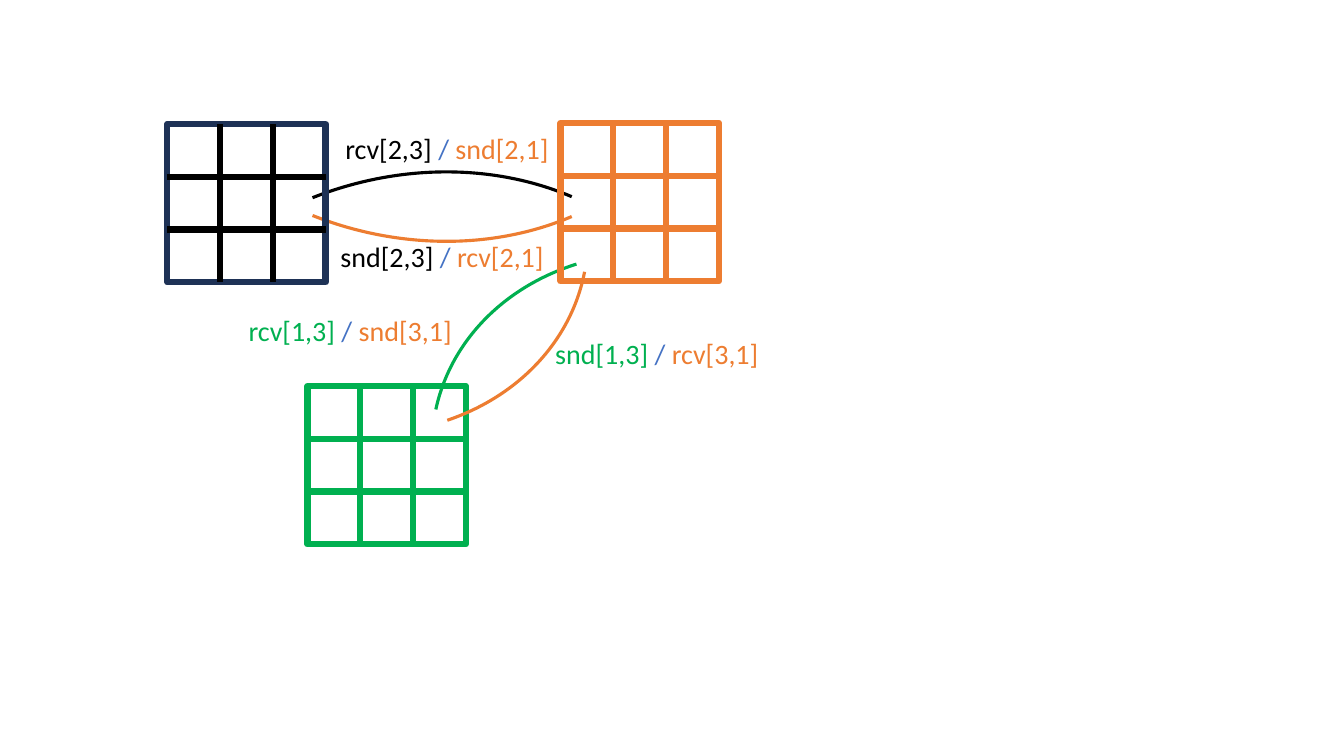
"""Slide of three 3 x 3 grids that swap border cells along arcs."""
from lxml.etree import SubElement
from pptx import Presentation
from pptx.dml.color import RGBColor as Rgb
from pptx.enum.shapes import MSO_CONNECTOR as Link, MSO_SHAPE as Kind
from pptx.enum.text import MSO_AUTO_SIZE as Fit, PP_ALIGN as Align
from pptx.oxml.ns import qn
from pptx.util import Inches, Pt

COLORS = {"black": "000000", "navy": "1E3256", "blue": "4472C4",
          "green": "00B050", "orange": "ED7D31"}
SIDE, CELLS = 1.57, 3
FLAT, TALL = (6.35, 5.46), (4.07, 4.67)
SWEEP = (162, 193.9)

ARCS = [
    ((0.93, 1.77), FLAT, 338.4, False, "black"),
    ((0.93, -3.13), FLAT, 21.6, True, "orange"),
    ((4.57, 2.22), TALL, 282.2, False, "green"),
    ((1.47, -0.08), TALL, 100.9, False, "orange"),
]
GRIDS = [
    (1.66, 1.23, "navy", "black"),
    (3.05, 3.83, "green", "green"),
    (5.56, 1.22, "orange", "orange"),
]
LABELS = [
    (3.27, 2.33, 2.23, False, "black", "snd[2,3] ", "rcv[2,1]"),
    (1.13, 1.26, 6.67, True, "black", "rcv[2,3] ", "snd[2,1] "),
    (5.4, 3.29, 2.23, False, "green", "snd[1,3] ", "rcv[3,1]"),
    (0.17, 3.06, 6.67, True, "green", "rcv[1,3] ", "snd[3,1] "),
]


def tint(name):
    return Rgb.from_string(COLORS[name])


def stroke(item, color, width):
    item.line.color.rgb = tint(color)
    item.line.width = Pt(width)


def outline(shapes, kind, box, color, width):
    shape = shapes.add_shape(kind, *map(Inches, box))
    shape.shadow.inherit = False
    shape.fill.background()
    stroke(shape, color, width)
    return shape


def add_arc(shapes, spot, size, turn, flip, color):
    arc = outline(shapes, Kind.ARC, spot + size, color, 2.25)
    arc.adjustments[0], arc.adjustments[1] = SWEEP
    arc.rotation = turn
    if flip:
        arc.element.spPr.find(qn("a:xfrm")).set("flipV", "1")


def add_rule(shapes, ends, color):
    rule = shapes.add_connector(Link.STRAIGHT, *map(Inches, ends))
    stroke(rule, color, 4.5)
    SubElement(rule.element.spPr, qn("a:effectLst"))


def add_grid(shapes, left, top, frame, inner):
    outline(shapes, Kind.RECTANGLE, (left, top, SIDE, SIDE), frame, 4.5)
    steps = [SIDE * n / CELLS for n in range(1, CELLS)]
    for step in steps:
        add_rule(shapes, (left, top + step, left + SIDE, top + step), inner)
    for step in reversed(steps):
        add_rule(shapes, (left + step, top, left + step, top + SIDE), inner)


def add_label(shapes, left, top, width, wrap, color, first, last):
    box = shapes.add_textbox(*map(Inches, (left, top, width, 0.44)))
    frame = box.text_frame
    frame.word_wrap = wrap
    frame.auto_size = Fit.SHAPE_TO_FIT_TEXT
    line = frame.paragraphs[0]
    line.alignment = Align.CENTER
    line.font.name, line.font.size = "Calibri", Pt(20)
    for text, shade in ((first, color), ("/ ", "blue"), (last, "orange")):
        run = line.add_run()
        run.text = text
        run.font.color.rgb = tint(shade)


def main():
    deck = Presentation()
    deck.slide_width, deck.slide_height = Inches(13.33), Inches(7.5)
    shapes = deck.slides.add_slide(deck.slide_layouts[6]).shapes
    for arc in ARCS[:3]:
        add_arc(shapes, *arc)
    for grid in GRIDS:
        add_grid(shapes, *grid)
    for label in LABELS:
        add_label(shapes, *label)
    add_arc(shapes, *ARCS[3])
    deck.save("out.pptx")


if __name__ == "__main__":
    main()
